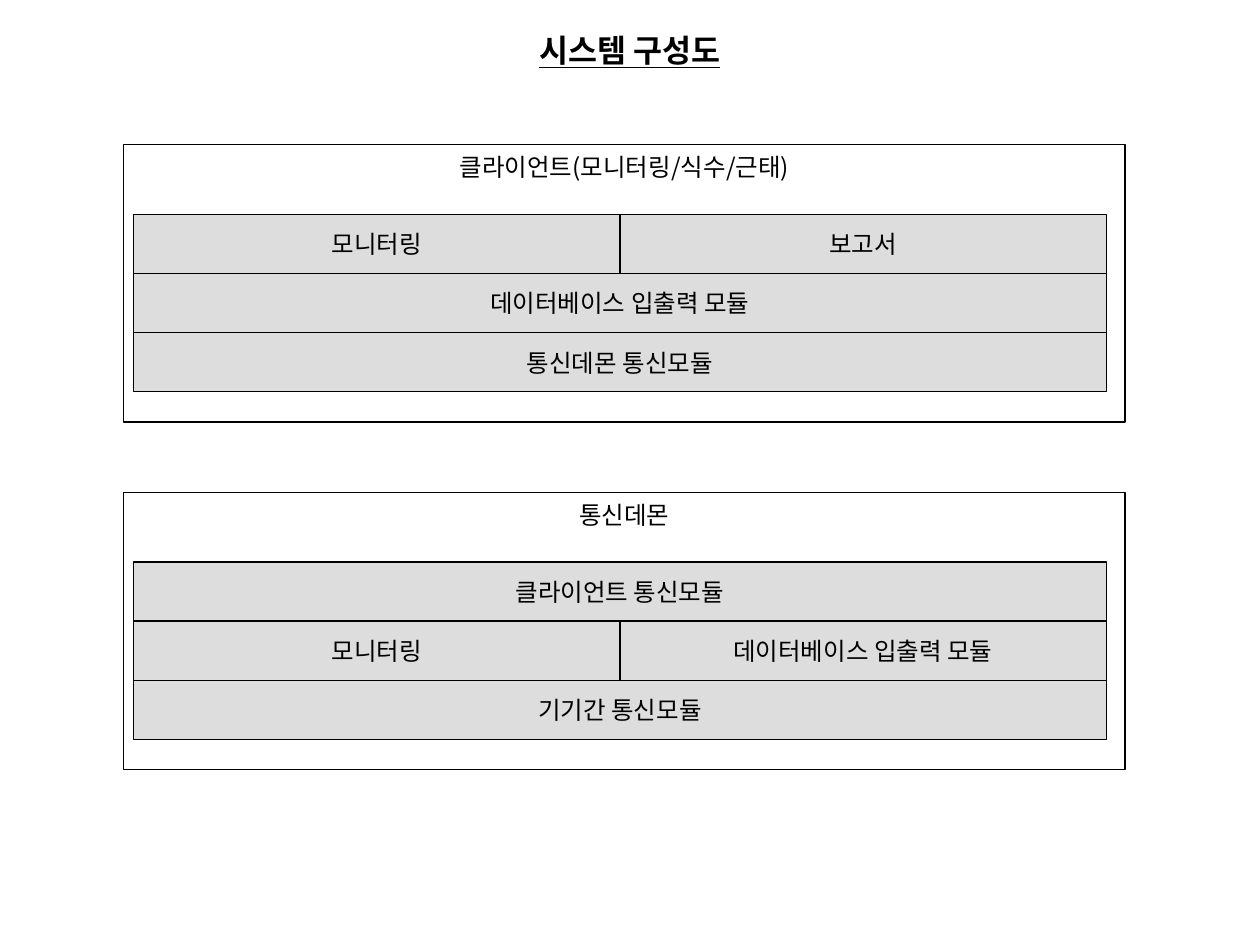
from lxml.etree import SubElement
from pptx import Presentation
from pptx.dml.color import RGBColor
from pptx.enum.shapes import MSO_SHAPE as Shape
from pptx.enum.text import MSO_ANCHOR as Anchor, PP_ALIGN as Align
from pptx.oxml.ns import qn
from pptx.util import Inches, Pt

FONT = "Noto Sans CJK KR"
BLACK, GRAY = "000000", "DDDDDD"

# Grid, in inches
SLIDE_WIDTH, SLIDE_HEIGHT = 10, 7.5
PANEL_LEFT, PANEL_WIDTH, PANEL_HEIGHT = 0.98, 7.95, 2.2
GRID_LEFT, GRID_WIDTH = 1.06, 7.72
GRID_OFFSET, ROW_HEIGHT = 0.55, 0.47

# Panel top, caption, rows of modules
PANELS = [
    (1.15, "클라이언트(모니터링/식수/근태)", [
        ["모니터링", "보고서"],
        ["데이터베이스 입출력 모듈"],
        ["통신데몬 통신모듈"],
    ]),
    (3.91, "통신데몬", [
        ["클라이언트 통신모듈"],
        ["모니터링", "데이터베이스 입출력 모듈"],
        ["기기간 통신모듈"],
    ]),
]


def color(value):
    return RGBColor.from_string(value)


def write(shape, text, size=14, anchor=Anchor.MIDDLE, heading=False):
    frame = shape.text_frame
    frame.word_wrap = True
    frame.vertical_anchor = anchor
    paragraph = frame.paragraphs[0]
    paragraph.alignment = Align.CENTER
    run = paragraph.add_run()
    run.text = text
    font = run.font
    font.name, font.size = FONT, Pt(size)
    font.color.rgb = color(BLACK)
    if heading:
        font.bold = font.underline = True
    # Hangul takes the East Asian typeface
    SubElement(run._r.get_or_add_rPr(), qn("a:ea"), typeface=FONT)


def add_title(slide, text):
    box = slide.shapes.add_textbox(0, Inches(0.2), Inches(SLIDE_WIDTH), Inches(0.4))
    write(box, text, size=18, anchor=Anchor.TOP, heading=True)


def add_box(slide, left, top, width, height, text, fill=None, anchor=Anchor.MIDDLE):
    shape = slide.shapes.add_shape(
        Shape.RECTANGLE, *map(Inches, (left, top, width, height)))
    shape.shadow.inherit = False
    if fill:
        shape.fill.solid()
        shape.fill.fore_color.rgb = color(fill)
    else:
        shape.fill.background()
    shape.line.color.rgb = color(BLACK)
    shape.line.width = Pt(0.75)
    write(shape, text, anchor=anchor)
    return shape


def add_panel(slide, top, caption, rows):
    panel = add_box(slide, PANEL_LEFT, top, PANEL_WIDTH, PANEL_HEIGHT,
                    caption, anchor=Anchor.TOP)
    panel.text_frame.margin_top = Inches(0.06)
    # Modules share the width of their row equally
    for row, modules in enumerate(rows):
        width = GRID_WIDTH / len(modules)
        for column, module in enumerate(modules):
            add_box(slide, GRID_LEFT + column * width,
                    top + GRID_OFFSET + row * ROW_HEIGHT,
                    width, ROW_HEIGHT, module, fill=GRAY)


def main():
    presentation = Presentation()
    presentation.slide_width = Inches(SLIDE_WIDTH)
    presentation.slide_height = Inches(SLIDE_HEIGHT)
    slide = presentation.slides.add_slide(presentation.slide_layouts[6])
    add_title(slide, "시스템 구성도")
    for top, caption, rows in PANELS:
        add_panel(slide, top, caption, rows)
    presentation.save("out.pptx")


if __name__ == "__main__":
    main()
